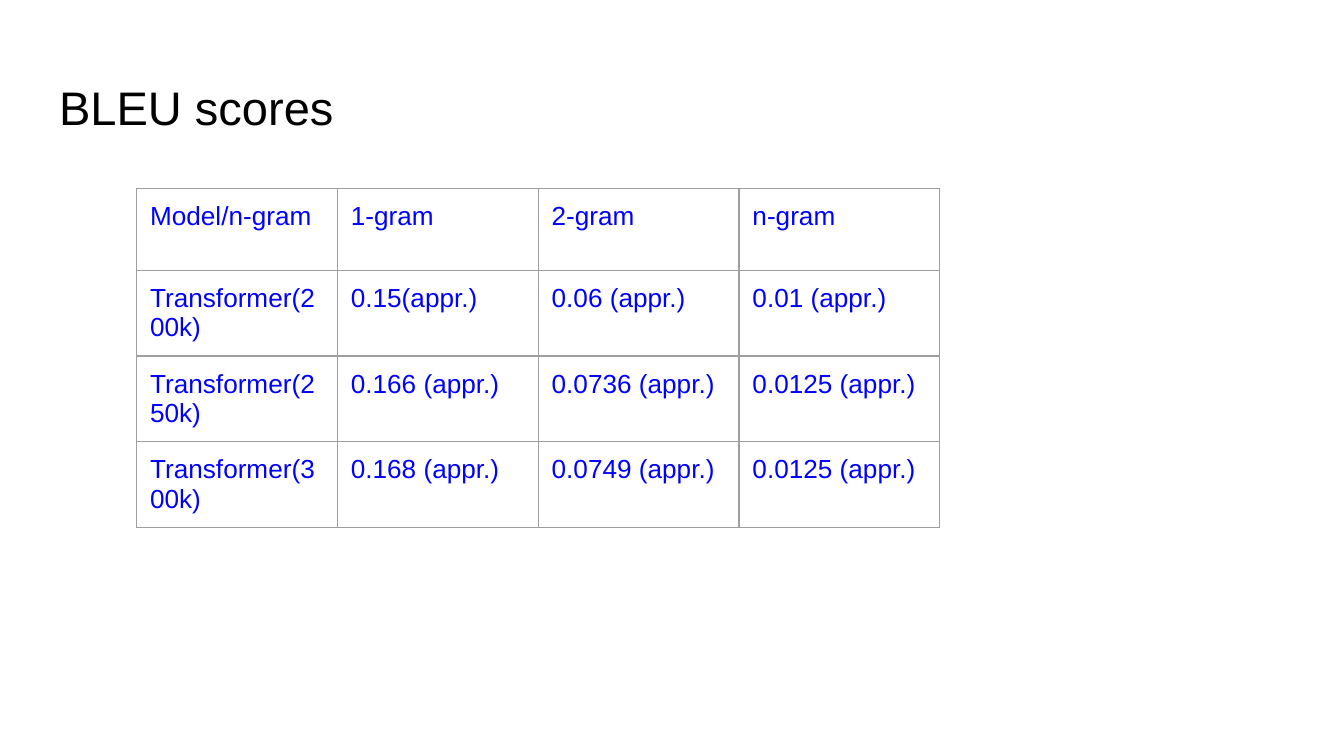
from lxml import etree
from pptx import Presentation
from pptx.dml.color import RGBColor
from pptx.enum import text
from pptx.oxml import ns
from pptx.util import Pt

COLORS = {"title": "000000", "cell": "0000FF", "rule": "9E9E9E"}
FONT = "Arial"
INSET = 7.2

SCORES = [
    ["Model/n-gram", "1-gram", "2-gram", "n-gram"],
    ["Transformer(200k)", "0.15(appr.)", "0.06 (appr.)", "0.01 (appr.)"],
    ["Transformer(250k)", "0.166 (appr.)", "0.0736 (appr.)", "0.0125 (appr.)"],
    ["Transformer(300k)", "0.168 (appr.)", "0.0749 (appr.)", "0.0125 (appr.)"],
]


def write(frame, words, size=14, color="cell", align=text.PP_ALIGN.LEFT):
    para = frame.paragraphs[0]
    para.alignment = align
    run = para.add_run()
    run.text = words
    run.font.name = FONT
    run.font.size = Pt(size)
    run.font.color.rgb = RGBColor.from_string(COLORS[color])


def pad(box):
    """Set the same inset on all four sides of a cell or text frame."""
    box.margin_left = box.margin_right = Pt(INSET)
    box.margin_top = box.margin_bottom = Pt(INSET)


def rule(cell, width=0.75):
    """Draw a line on each side of a cell."""
    props = cell._tc.get_or_add_tcPr()
    for spot, side in enumerate(("lnL", "lnR", "lnT", "lnB")):
        line = etree.Element(ns.qn(f"a:{side}"), w=str(Pt(width)))
        fill = etree.SubElement(line, ns.qn("a:solidFill"))
        etree.SubElement(fill, ns.qn("a:srgbClr"), val=COLORS["rule"])
        props.insert(spot, line)


class Deck:
    def __init__(self, width, height):
        self.show = Presentation()
        self.show.slide_width = Pt(width)
        self.show.slide_height = Pt(height)
        self.slide = None

    def add(self):
        self.slide = self.show.slides.add_slide(self.show.slide_layouts[5])

    def title(self, words, left, top, width, height):
        shape = self.slide.shapes.title
        shape.left, shape.top = Pt(left), Pt(top)
        shape.width, shape.height = Pt(width), Pt(height)
        frame = shape.text_frame
        frame.word_wrap = True
        frame.auto_size = text.MSO_AUTO_SIZE.NONE
        frame.vertical_anchor = text.MSO_ANCHOR.TOP
        pad(frame)
        write(frame, words, size=25.2, color="title")

    def table(self, data, left, top, wide, high):
        """Add a plain ruled table with cells of wide by high points."""
        rows, cols = len(data), len(data[0])
        grid = self.slide.shapes.add_table(
            rows, cols, Pt(left), Pt(top), Pt(wide * cols), Pt(high * rows)
        ).table
        grid.first_row = grid.horz_banding = False
        for r, line in enumerate(data):
            for c, words in enumerate(line):
                cell = grid.cell(r, c)
                cell.fill.background()
                pad(cell)
                rule(cell)
                write(cell.text_frame, words)


def main():
    deck = Deck(720, 405)
    deck.add()
    deck.title("BLEU scores", 24.5, 35, 671, 45.1)
    deck.table(SCORES, 73.2, 100.9, 107.6, 43.9)
    deck.show.save("out.pptx")


if __name__ == "__main__":
    main()
